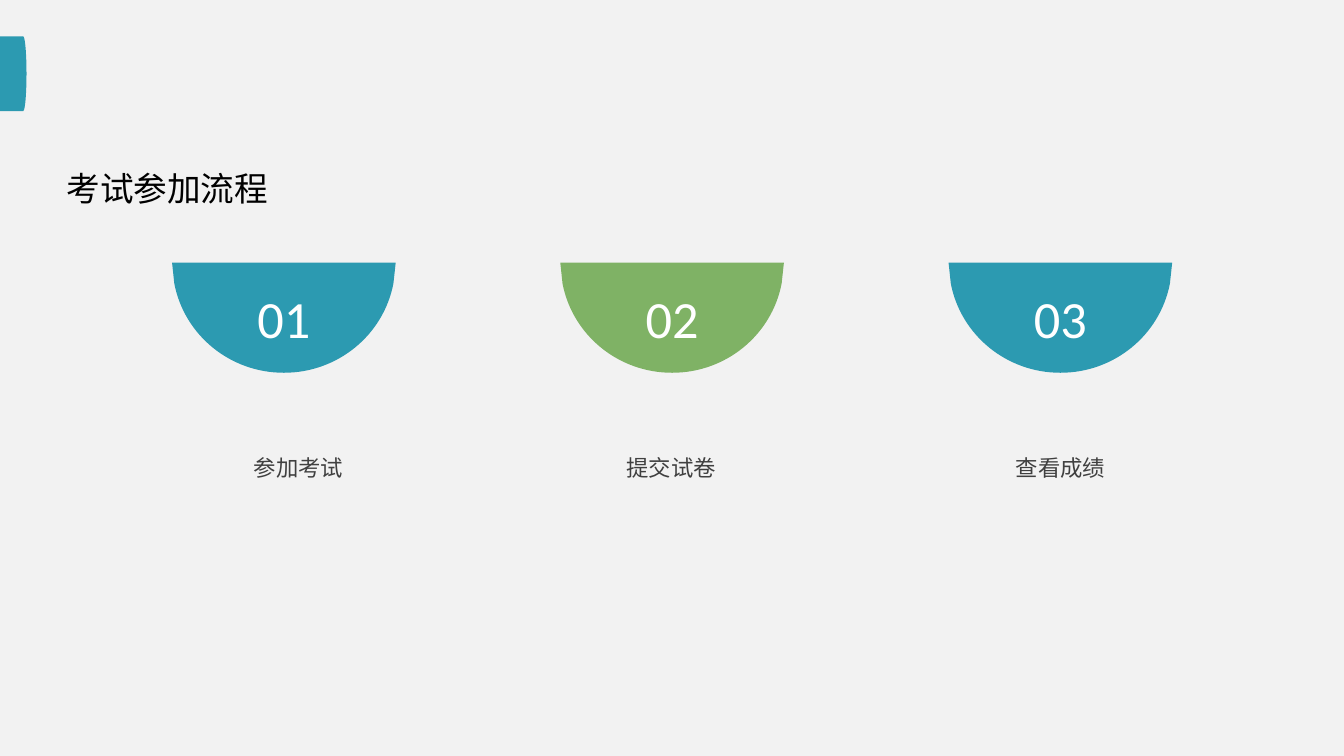
import pptx
import pptx.util
import pptx.dml.color
import pptx.enum.shapes
import pptx.enum.text
import pptx.oxml
import pptx.oxml.ns

Pt = pptx.util.Pt
RGBColor = pptx.dml.color.RGBColor
SHAPE = pptx.enum.shapes.MSO_SHAPE
ALIGN = pptx.enum.text.PP_ALIGN
ANCHOR = pptx.enum.text.MSO_ANCHOR

TEAL = RGBColor(0x2C, 0x9A, 0xB1)
GREEN = RGBColor(0x7F, 0xB2, 0x65)
PAPER = RGBColor(0xF2, 0xF2, 0xF2)
WHITE = RGBColor(0xFF, 0xFF, 0xFF)
GREY = RGBColor(0x40, 0x40, 0x40)
BLACK = RGBColor(0, 0, 0)
LATIN = "Calibri"
CJK = "Noto Sans CJK SC"

# number, bowl colour, label, left edge of label
STEPS = [
    ("01", TEAL, "参加考试", 70.6),
    ("02", GREEN, "提交试卷", 270.3),
    ("03", TEAL, "查看成绩", 478.8),
]
BOWL_LEFT, BOWL_STEP = 92.2, 208


def set_text(sp, text, size, color, font=CJK, align=ALIGN.CENTER,
             anchor=ANCHOR.MIDDLE, wrap=True):
    tf = sp.text_frame
    tf.word_wrap = wrap
    tf.vertical_anchor = anchor
    p = tf.paragraphs[0]
    p.alignment = align
    r = p.add_run()
    r.text = text
    r.font.size = Pt(size)
    r.font.color.rgb = color
    r.font.name = font
    ea = pptx.oxml.parse_xml(
        f'<a:ea {pptx.oxml.ns.nsdecls("a")} typeface="{font}"/>')
    r.font._element.append(ea)


def paint(sp, color):
    sp.shadow.inherit = False
    sp.fill.solid()
    sp.fill.fore_color.rgb = color
    sp.line.fill.background()


def add_edge_tab(s, x, y, w, h):
    """Draw a tab whose right side bulges slightly."""
    bulge = 3.6
    for kind, left, width in (
        (SHAPE.RECTANGLE, x, w - bulge / 2),
        (SHAPE.OVAL, x + w - bulge, bulge),
    ):
        paint(s.shapes.add_shape(kind, Pt(left), Pt(y), Pt(width), Pt(h)), TEAL)


def bend(line, points):
    """Turn a straight freeform segment into a cubic curve through local points."""
    pts = "".join(f'<a:pt x="{px}" y="{py}"/>' for px, py in points)
    curve = pptx.oxml.parse_xml(
        f'<a:cubicBezTo {pptx.oxml.ns.nsdecls("a")}>{pts}</a:cubicBezTo>')
    line.getparent().replace(line, curve)


def add_bowl(s, x, y, w, h, number, color):
    def local(dx, dy):
        """Convert offsets from the top centre, in half widths and heights."""
        return Pt(w / 2 * (1 + dx)), Pt(h * dy)

    corners = [local(*c) for c in ((-1, 0), (1, 0), (0.98, 0.19), (0, 1), (-0.98, 0.19))]
    builder = s.shapes.build_freeform(*corners[0], scale=1.0)
    builder.add_line_segments(corners[1:], close=True)
    sp = builder.convert_to_shape(Pt(x), Pt(y))
    lines = sp._element.findall(".//" + pptx.oxml.ns.qn("a:lnTo"))
    bend(lines[2], [local(0.89, 0.66), local(0.48, 1), corners[3]])
    bend(lines[3], [local(-0.48, 1), local(-0.89, 0.66), corners[4]])
    paint(sp, color)
    set_text(sp, number, 28, WHITE, font=LATIN)


def add_text(s, x, y, w, h, text, **fmt):
    sp = s.shapes.add_textbox(Pt(x), Pt(y), Pt(w), Pt(h))
    set_text(sp, text, **fmt)


def add_steps(s, y, bowl_w, bowl_h, label_w, label_h):
    for i, (number, color, _, _) in enumerate(STEPS):
        add_bowl(s, BOWL_LEFT + i * BOWL_STEP, y, bowl_w, bowl_h, number, color)
    for _, _, label, left in STEPS:
        add_text(s, left, y + bowl_h, label_w, label_h, label, size=12, color=GREY)


def main():
    prs = pptx.Presentation()
    prs.slide_width, prs.slide_height = Pt(720), Pt(405)
    s = prs.slides.add_slide(prs.slide_layouts[6])
    s.background.fill.solid()
    s.background.fill.fore_color.rgb = PAPER
    add_edge_tab(s, 0, 19.5, 14.2, 40)
    add_steps(s, 140.7, 119.8, 59, 178.6, 101.6)
    add_text(s, 28.5, 86.4, 123.8, 28.8, "考试参加流程", size=18, color=BLACK,
             align=ALIGN.LEFT, anchor=ANCHOR.TOP, wrap=False)
    prs.save("out.pptx")


if __name__ == "__main__":
    main()
